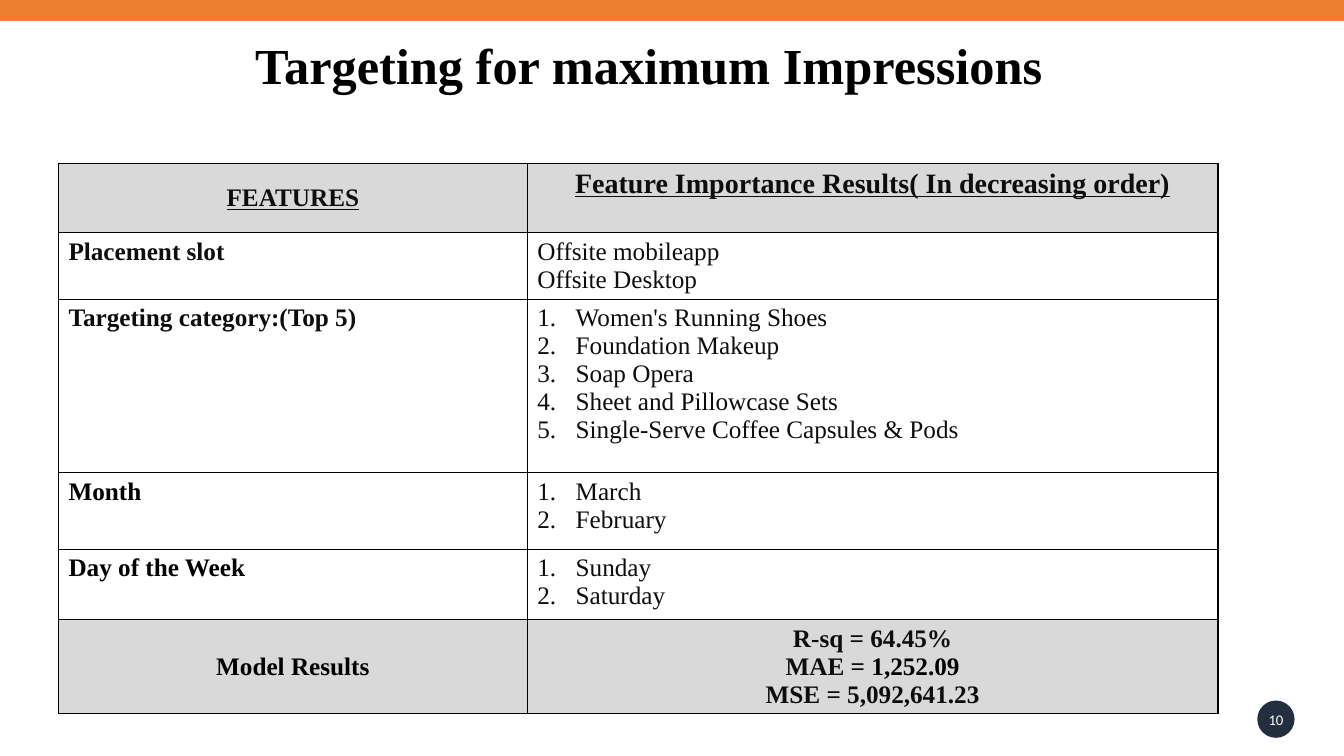
"""Build the slide on targeting for maximum impressions."""
import pptx
import pptx.dml.color
import pptx.enum.shapes
import pptx.enum.text
import pptx.oxml
import pptx.oxml.ns
import pptx.util

Inches = pptx.util.Inches
Pt = pptx.util.Pt
ALIGN = pptx.enum.text.PP_ALIGN
ANCHOR = pptx.enum.text.MSO_ANCHOR

COLORS = {"band": "ED7D31", "badge": "232F3E", "shade": "D9D9D9",
          "black": "000000", "ink": "0D0D0D", "white": "FFFFFF"}
SERIF = "Times New Roman"
TITLE = "Targeting for maximum Impressions"
PAGE_NUMBER = "10"
HEADERS = ("FEATURES", "Feature Importance Results( In decreasing order)")
FEATURES = [
    ("Placement slot", "ink", False, ["Offsite mobileapp", "Offsite Desktop"]),
    ("Targeting category:(Top 5)", "ink", True,
     ["Women's Running Shoes", "Foundation Makeup", "Soap Opera",
      "Sheet and Pillowcase Sets", "Single-Serve Coffee Capsules & Pods"]),
    ("Month", "black", True, ["March", "February"]),
    ("Day of the Week", "black", True, ["Sunday", "Saturday"]),
]
RESULTS_LABEL = "Model Results"
RESULTS = [[("R-sq = 64.45%", "ink")],
           [("MAE = ", "ink"), ("1,252.09", "black")],
           [("MSE = 5,092,641.23", "ink")]]
COLUMN_WIDTHS = (4.65, 6.85)
ROW_HEIGHTS = (0.69, 0.66, 1.72, 0.76, 0.7, 0.93)


def color(name):
    return pptx.dml.color.RGBColor.from_string(COLORS[name])


def style_run(run, size, color_name, font=SERIF, bold=False, underline=False):
    run.font.size = Pt(size)
    run.font.name = font
    run.font.bold = bold
    run.font.underline = underline
    run.font.color.rgb = color(color_name)


def add_numbering(paragraph):
    properties = paragraph._p.get_or_add_pPr()
    properties.set("marL", str(Inches(0.38)))
    properties.set("indent", str(-Inches(0.38)))
    bullet = pptx.oxml.ns.qn("a:buAutoNum")
    properties.append(properties.makeelement(bullet, {"type": "arabicPeriod"}))


def add_borders(cell):
    properties = cell._tc.get_or_add_tcPr()
    for position, side in enumerate(("lnL", "lnR", "lnT", "lnB")):
        border = pptx.oxml.parse_xml(
            f'<a:{side} {pptx.oxml.ns.nsdecls("a")} w="{Pt(1)}"><a:solidFill>'
            f'<a:srgbClr val="{COLORS["black"]}"/></a:solidFill></a:{side}>')
        properties.insert(position, border)


def fill_cell(cell, lines, size=18, bold=False, underline=False, numbered=False,
              shaded=False, centered=False, anchor=ANCHOR.TOP):
    """Write lines, each a list of (text, color) runs, into a bordered cell."""
    cell.vertical_anchor = anchor
    if shaded:
        cell.fill.solid()
        cell.fill.fore_color.rgb = color("shade")
    else:
        cell.fill.background()
    add_borders(cell)
    frame = cell.text_frame
    for index, line in enumerate(lines):
        paragraph = frame.add_paragraph() if index else frame.paragraphs[0]
        paragraph.alignment = ALIGN.CENTER if centered else ALIGN.LEFT
        if numbered:
            add_numbering(paragraph)
        for text, color_name in line:
            run = paragraph.add_run()
            run.text = text
            style_run(run, size, color_name, bold=bold, underline=underline)


def add_title(slide):
    title = slide.shapes.title
    title.left, title.top = Inches(0.69), Inches(0.21)
    title.width, title.height = Inches(11.49), Inches(1.19)
    frame = title.text_frame
    frame.text = TITLE
    frame.auto_size = pptx.enum.text.MSO_AUTO_SIZE.NONE
    frame.vertical_anchor = ANCHOR.BOTTOM
    frame.margin_left = frame.margin_right = 0
    frame.margin_bottom = Inches(0.45)
    paragraph = frame.paragraphs[0]
    paragraph.alignment = ALIGN.CENTER
    paragraph.line_spacing = 0.9
    style_run(paragraph.runs[0], 36, "black", bold=True)


def add_feature_table(slide):
    table = slide.shapes.add_table(
        len(ROW_HEIGHTS), len(COLUMN_WIDTHS), Inches(0.58), Inches(1.62),
        Inches(sum(COLUMN_WIDTHS)), Inches(sum(ROW_HEIGHTS))).table
    table.first_row = table.horz_banding = False
    for column, width in zip(table.columns, COLUMN_WIDTHS):
        column.width = Inches(width)
    for row, height in zip(table.rows, ROW_HEIGHTS):
        row.height = Inches(height)

    header_looks = ((18, ANCHOR.MIDDLE), (20, ANCHOR.TOP))
    for column, (text, (size, anchor)) in enumerate(zip(HEADERS, header_looks)):
        fill_cell(table.cell(0, column), [[(text, "ink")]], size, bold=True,
                  underline=True, shaded=True, centered=True, anchor=anchor)
    for row, (label, label_color, numbered, values) in enumerate(FEATURES, 1):
        fill_cell(table.cell(row, 0), [[(label, label_color)]], bold=True)
        fill_cell(table.cell(row, 1), [[(value, "ink")] for value in values],
                  numbered=numbered)
    last_row = len(ROW_HEIGHTS) - 1
    for column, lines in enumerate(([[(RESULTS_LABEL, "black")]], RESULTS)):
        fill_cell(table.cell(last_row, column), lines, bold=True, shaded=True,
                  centered=True, anchor=ANCHOR.MIDDLE)


def add_page_badge(slide):
    badge = slide.shapes.add_shape(
        pptx.enum.shapes.MSO_SHAPE.OVAL,
        Inches(12.47), Inches(6.95), Inches(0.37), Inches(0.37))
    badge.shadow.inherit = False
    badge.fill.solid()
    badge.fill.fore_color.rgb = color("badge")
    badge.line.fill.background()
    number = slide.shapes.add_textbox(
        Inches(12.47), Inches(6.98), Inches(0.37), Inches(0.31))
    frame = number.text_frame
    frame.text = PAGE_NUMBER
    frame.word_wrap = True
    frame.vertical_anchor = ANCHOR.MIDDLE
    frame.margin_left = frame.margin_right = 0
    frame.paragraphs[0].alignment = ALIGN.CENTER
    style_run(frame.paragraphs[0].runs[0], 10.5, "white", font="Calibri")


def add_top_band(slide):
    band = slide.shapes.add_connector(
        pptx.enum.shapes.MSO_CONNECTOR.STRAIGHT,
        Inches(-0.06), Inches(0.1), Inches(13.33), Inches(0.1))
    band.line.color.rgb = color("band")
    band.line.width = Pt(15)
    properties = band._element.spPr
    properties.append(properties.makeelement(pptx.oxml.ns.qn("a:effectLst"), {}))


def main():
    presentation = pptx.Presentation()
    presentation.slide_width = Inches(13.33)
    presentation.slide_height = Inches(7.5)
    slide = presentation.slides.add_slide(presentation.slide_layouts[5])
    add_title(slide)
    add_feature_table(slide)
    add_page_badge(slide)
    add_top_band(slide)
    presentation.save("out.pptx")


if __name__ == "__main__":
    main()
